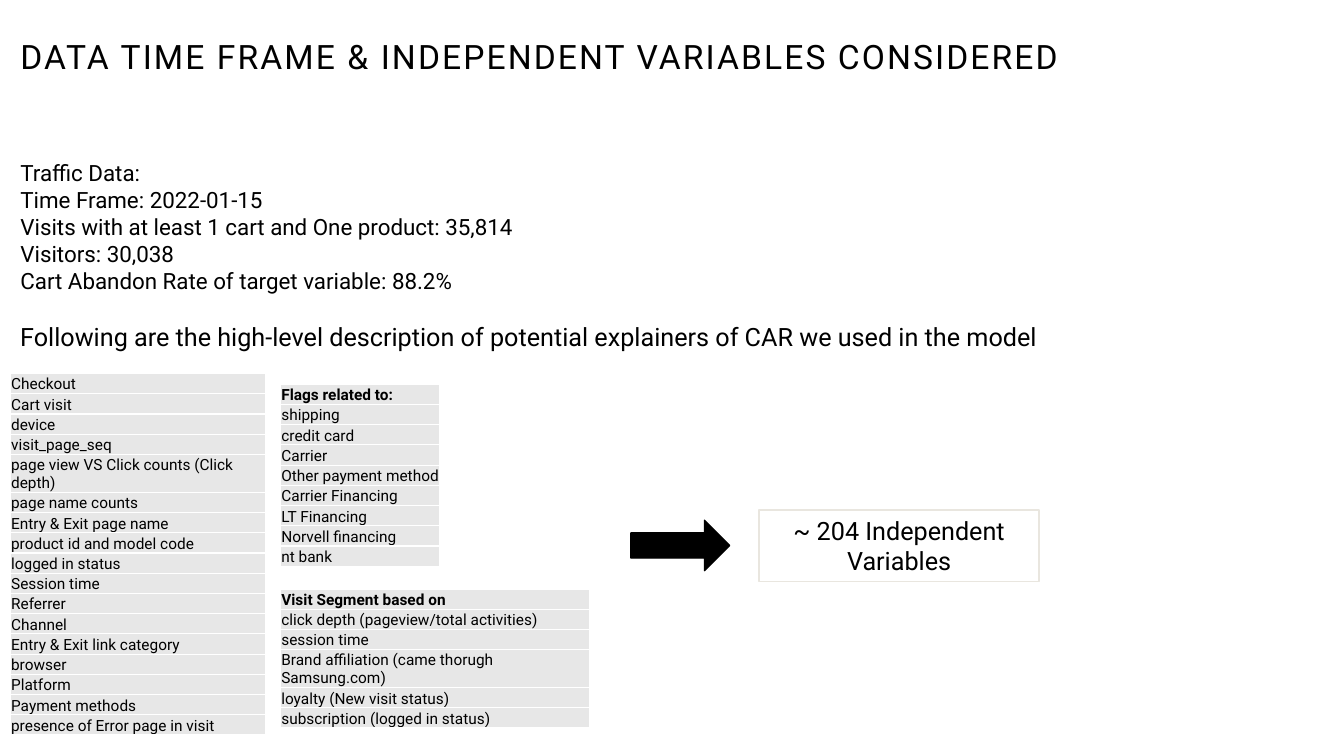
from dataclasses import dataclass

from lxml import etree
from pptx import Presentation
from pptx.dml.color import RGBColor
from pptx.enum import shapes, text
from pptx.oxml.ns import qn
from pptx.util import Cm, Pt


@dataclass(frozen=True)
class Theme:
    font: str = "Roboto"
    ink: str = "000000"
    paper: str = "FFFFFF"
    band: str = "E7E7E7"
    outline: str = "E9E6DF"
    title: int = 24
    statement: int = 18
    facts: int = 16
    cell: int = 11
    line: int = 1


THEME = Theme()
ROW_HEIGHT = 0.51

TRAFFIC_FACTS = [
    "Traffic Data:",
    "Time Frame: 2022-01-15",
    "Visits with at least 1 cart and One product: 35,814",
    "Visitors: 30,038",
    "Cart Abandon Rate of target variable: 88.2%",
]
VISIT_VARIABLES = [
    "Checkout", "Cart visit", "device", "visit_page_seq",
    "page view VS Click counts (Click depth)", "page name counts",
    "Entry & Exit page name", "product id and model code",
    "logged in status", "Session time", "Referrer", "Channel",
    "Entry & Exit link category", "browser", "Platform",
    "Payment methods", "presence of Error page in visit",
]
FLAGS = [
    "Flags related to:", "shipping", "credit card", "Carrier",
    "Other payment method", "Carrier Financing", "LT Financing",
    "Norvell financing", "nt bank",
]
SEGMENTS = [
    "Visit Segment based on", "click depth (pageview/total activities)",
    "session time", "Brand affiliation (came thorugh Samsung.com)",
    "loyalty (New visit status)", "subscription (logged in status)",
]


def rgb(colour):
    return RGBColor.from_string(colour)


def place(part, box):
    part.left, part.top, part.width, part.height = map(Cm, box)


def style(paragraph, size, align=text.PP_ALIGN.LEFT, bold=False):
    paragraph.alignment = align
    paragraph.font.name = THEME.font
    paragraph.font.size = Pt(size)
    paragraph.font.bold = bold
    paragraph.font.color.rgb = rgb(THEME.ink)


def add_heading(slide, box, wording):
    heading = slide.shapes.title
    place(heading, box)
    frame = heading.text_frame
    frame.text = wording
    frame.vertical_anchor = text.MSO_ANCHOR.MIDDLE
    paragraph = frame.paragraphs[0]
    paragraph.line_spacing = 0.9
    style(paragraph, THEME.title)
    paragraph.runs[0]._r.get_or_add_rPr().set("spc", "150")


def add_facts(slide, box, facts):
    body = slide.placeholders[1]
    place(body, box)
    frame = body.text_frame
    frame.auto_size = text.MSO_AUTO_SIZE.NONE
    frame.text = "\n".join(facts)
    for paragraph in frame.paragraphs:
        properties = paragraph._p.get_or_add_pPr()
        properties.set("marL", "0")
        properties.set("indent", "0")
        etree.SubElement(properties, qn("a:buNone"))
        paragraph.space_before = Pt(0)
        style(paragraph, THEME.facts)


def add_statement(slide, box, wording):
    statement = slide.shapes.add_textbox(*map(Cm, box))
    statement.text_frame.word_wrap = True
    statement.text_frame.text = wording
    style(statement.text_frame.paragraphs[0], THEME.statement)


def add_borders(cell):
    properties = cell._tc.get_or_add_tcPr()
    for position, side in enumerate(("lnL", "lnR", "lnT", "lnB")):
        border = etree.Element(qn(f"a:{side}"), w=str(Pt(THEME.line)))
        fill = etree.SubElement(border, qn("a:solidFill"))
        etree.SubElement(fill, qn("a:srgbClr"), val=THEME.paper)
        properties.insert(position, border)


def add_variable_list(slide, left, top, width, names, headed=False):
    box = (left, top, width, ROW_HEIGHT * len(names))
    table = slide.shapes.add_table(len(names), 1, *map(Cm, box)).table
    table.first_row = headed
    table.horz_banding = False
    for index, name in enumerate(names):
        table.rows[index].height = Cm(ROW_HEIGHT)
        cell = table.cell(index, 0)
        cell.text = name
        cell.vertical_anchor = text.MSO_ANCHOR.BOTTOM
        cell.margin_left = cell.margin_right = cell.margin_top = Cm(0.02)
        cell.margin_bottom = 0
        cell.fill.solid()
        cell.fill.fore_color.rgb = rgb(THEME.band)
        add_borders(cell)
        style(cell.text_frame.paragraphs[0], THEME.cell,
              bold=headed and index == 0)


def add_block(slide, preset, box, fill, line):
    block = slide.shapes.add_shape(preset, *map(Cm, box))
    block.shadow.inherit = False
    block.fill.solid()
    block.fill.fore_color.rgb = rgb(fill)
    block.line.color.rgb = rgb(line)
    block.line.width = Pt(THEME.line)
    return block


def add_outcome(slide, left, top, wording):
    add_block(slide, shapes.MSO_SHAPE.RIGHT_ARROW,
              (left, top + 0.26, 2.49, 1.27), THEME.ink, THEME.ink)
    total = add_block(slide, shapes.MSO_SHAPE.RECTANGLE,
                      (left + 3.23, top, 7.06, 1.8),
                      THEME.paper, THEME.outline)
    total.text_frame.word_wrap = True
    total.text_frame.text = wording
    style(total.text_frame.paragraphs[0], THEME.statement,
          text.PP_ALIGN.CENTER)


def main():
    deck = Presentation()
    deck.slide_width, deck.slide_height = Cm(33.87), Cm(19.05)
    slide = deck.slides.add_slide(deck.slide_layouts[1])
    add_heading(slide, (0.26, 0.33, 33.38, 2.31),
                "DATA TIME FRAME & INDEPENDENT VARIABLES CONSIDERED")
    add_facts(slide, (0.26, 3.89, 14.25, 3.68), TRAFFIC_FACTS)
    add_statement(slide, (0.26, 7.98, 26.9, 1.02),
                  "Following are the high-level description of potential "
                  "explainers of CAR we used in the model")
    add_variable_list(slide, 0.26, 9.41, 6.43, VISIT_VARIABLES)
    add_variable_list(slide, 7.07, 9.68, 4.02, FLAGS, headed=True)
    add_variable_list(slide, 7.07, 14.84, 7.8, SEGMENTS, headed=True)
    add_outcome(slide, 15.9, 12.85, "~ 204 Independent Variables")
    deck.save("out.pptx")


if __name__ == "__main__":
    main()
